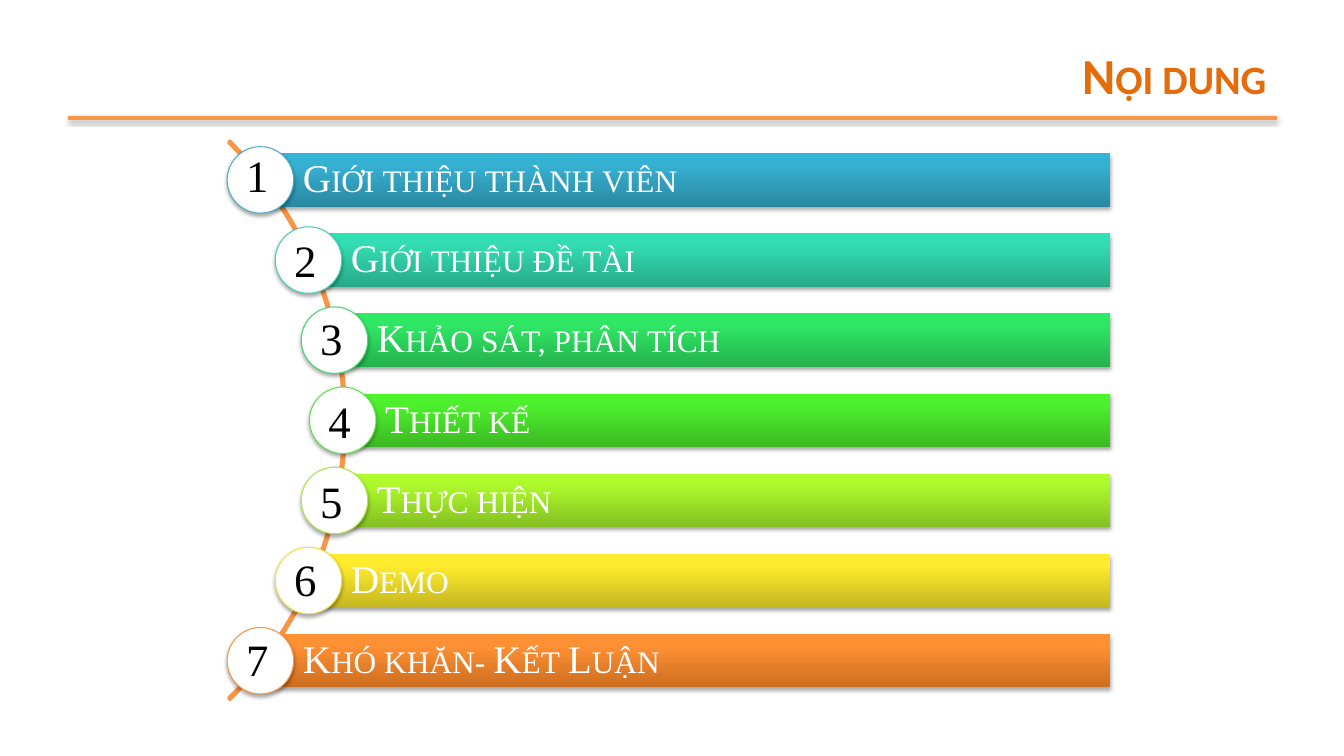
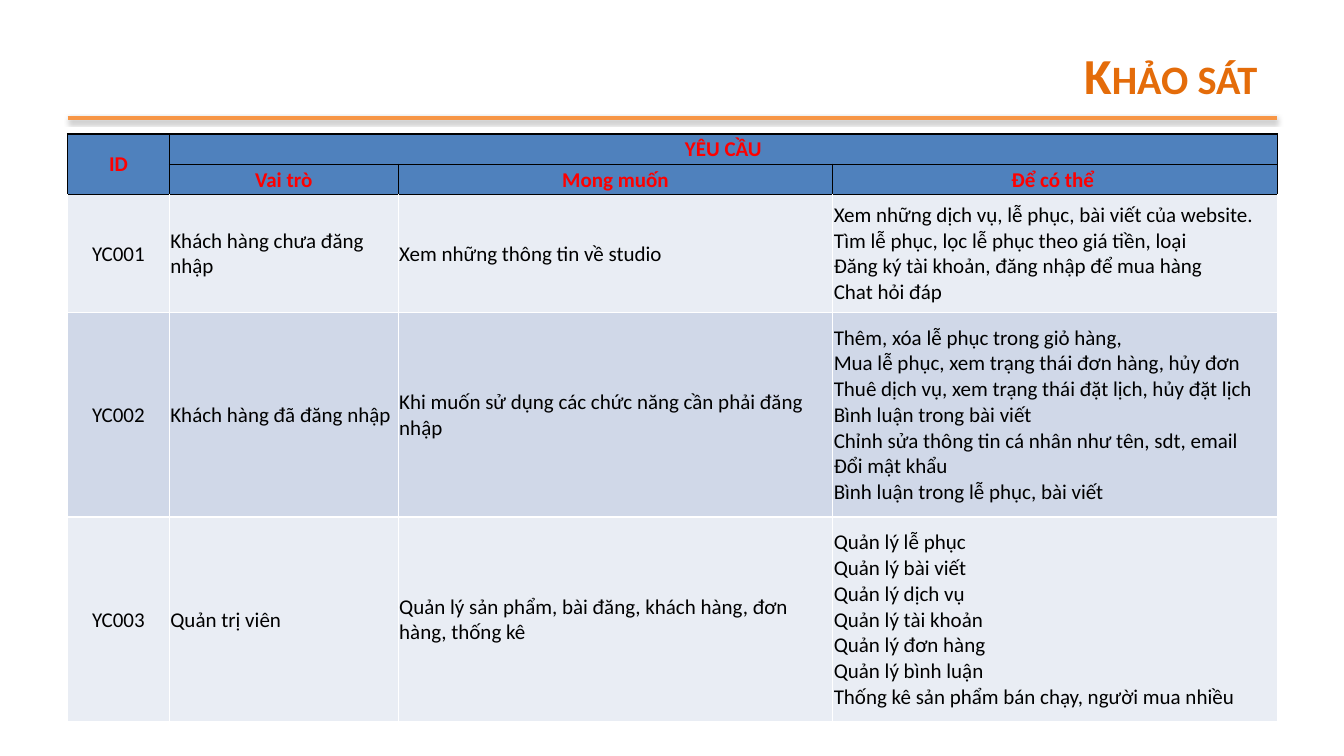
"""Builds an agenda slide and a survey requirements slide."""
from dataclasses import dataclass
from math import sqrt

from lxml.etree import SubElement
from pptx import Presentation
from pptx.dml.color import RGBColor
from pptx.enum.shapes import MSO_CONNECTOR, MSO_SHAPE
from pptx.enum.text import MSO_ANCHOR, PP_ALIGN
from pptx.oxml.ns import qn
from pptx.util import Inches, Pt


@dataclass(frozen=True)
class Theme:
    body_font: str = "Calibri"
    agenda_font: str = "Times New Roman"
    title: str = "E46C0A"
    accent: str = "F79646"
    white: str = "FFFFFF"
    black: str = "000000"
    header_fill: str = "4F81BD"
    header_text: str = "FF0000"
    row_fills: tuple = ("E9EDF4", "D0D8E8")
    title_size: int = 36
    number_size: int = 32
    agenda_size: int = 28
    table_size: int = 15


THEME = Theme()

AGENDA_TITLE = "Nội dung"
# text, gradient from bottom to top, circle outline, top of the number
AGENDA = [
    ("Giới thiệu thành viên", ("2A88A2", "37B1D2", "34B4D6"), "4BACC6", 1.42),
    ("Giới thiệu đề tài", ("27AA89", "33DCB2", "30E1B5"), "49CFAE", 2.26),
    ("Khảo sát, phân tích", ("25B24E", "30E765", "2DEB64"), "47D872", 3.03),
    ("Thiết kế", ("3CB923", "4EF02E", "4CF52A"), "60E146", 3.86),
    ("Thực hiện", ("85C022", "ADF92C", "AFFE28"), "ACE946", 4.65),
    ("Demo", ("C6B821", "FFEC2D", "FFED2E"), "F0E146", 5.42),
    ("Khó khăn- Kết Luận", ("CC6E20", "FF9034", "FF9136"), "F79646", 6.22),
]

SURVEY_TITLE = "Khảo sát "
SURVEY_HEADER = [
    ("ID", "YÊU CẦU", "", ""),
    ("", "Vai trò", "Mong muốn", "Để có thể "),
]
SURVEY_ROWS = [
    ("YC001", "Khách hàng chưa đăng nhập", "Xem những thông tin về studio",
     "Xem những dịch vụ, lễ phục, bài viết của website.\n"
     "Tìm lễ phục, lọc lễ phục theo giá tiền, loại\n"
     "Đăng ký tài khoản, đăng nhập để mua hàng\n"
     "Chat hỏi đáp"),
    ("YC002", "Khách hàng đã đăng nhập",
     "Khi muốn sử dụng các chức năng cần phải đăng nhập",
     "Thêm, xóa lễ phục trong giỏ hàng, \n"
     "Mua lễ phục, xem trạng thái đơn hàng, hủy đơn\n"
     "Thuê dịch vụ, xem trạng thái đặt lịch, hủy đặt lịch\n"
     "Bình luận trong bài viết\n"
     "Chỉnh sửa thông tin cá nhân như tên, sdt, email\n"
     "Đổi mật khẩu\n"
     "Bình luận trong lễ phục, bài viết"),
    ("YC003", "Quản trị viên",
     "Quản lý sản phẩm, bài đăng, khách hàng, đơn hàng, thống kê",
     "Quản lý lễ phục\n"
     "Quản lý bài viết\n"
     "Quản lý dịch vụ\n"
     "Quản lý tài khoản\n"
     "Quản lý đơn hàng\n"
     "Quản lý bình luận\n"
     "Thống kê sản phẩm bán chạy, người mua nhiều"),
]
COLUMN_WIDTHS = (1.01, 2.27, 4.31, 4.41)
ROW_HEIGHTS = (0.3, 0.3, 1.17, 2.03, 2.03)


def rgb(color):
    return RGBColor.from_string(color)


def add_run(paragraph, text, size, color, font, bold=False, small_caps=False):
    run = paragraph.add_run()
    run.text = text
    run.font.size = Pt(size)
    run.font.name = font
    run.font.bold = bold
    run.font.color.rgb = rgb(color)
    if small_caps:
        run.font._element.set("cap", "small")


def add_shadow(part):
    effects = SubElement(part._element.spPr, qn("a:effectLst"))
    outer = SubElement(effects, qn("a:outerShdw"), blurRad=str(Pt(3.1)),
                       dist=str(Pt(1.8)), dir="5400000", rotWithShape="0")
    color = SubElement(outer, qn("a:srgbClr"), val=THEME.black)
    SubElement(color, qn("a:alpha"), val="35000")


def fill_gradient(bar, colors):
    bar.fill.gradient()
    bar.fill.gradient_angle = 90
    stops = bar._element.spPr.find(qn("a:gradFill")).find(qn("a:gsLst"))
    for stop in list(stops):
        stops.remove(stop)
    for position, color in zip((0, 80000, 100000), colors):
        stop = SubElement(stops, qn("a:gs"), pos=str(position))
        SubElement(stop, qn("a:srgbClr"), val=color)


def add_titled_slide(deck, title):
    slide = deck.slides.add_slide(deck.slide_layouts[6])
    rule = slide.shapes.add_connector(
        MSO_CONNECTOR.STRAIGHT, Inches(0.67), Inches(1.17), Inches(12.67), Inches(1.17))
    rule.line.color.rgb = rgb(THEME.accent)
    rule.line.width = Pt(3)
    add_shadow(rule)
    heading = slide.shapes.add_textbox(
        Inches(2.33), Inches(0.17), Inches(10.33), Inches(0.92)).text_frame
    heading.word_wrap = True
    heading.vertical_anchor = MSO_ANCHOR.BOTTOM
    heading.paragraphs[0].alignment = PP_ALIGN.RIGHT
    add_run(heading.paragraphs[0], title, THEME.title_size, THEME.title,
            THEME.body_font, bold=True, small_caps=True)
    return slide


def add_agenda_arc(slide, center_x, center_y, radius):
    arc = slide.shapes.add_shape(
        MSO_SHAPE.BLOCK_ARC, Inches(center_x - radius), Inches(center_y - radius),
        Inches(2 * radius), Inches(2 * radius))
    for index, value in enumerate((189, 27, 0.003)):
        arc.adjustments[index] = value
    arc.shadow.inherit = False
    arc.fill.background()
    arc.line.color.rgb = rgb(THEME.accent)
    arc.line.width = Pt(2)


def add_agenda_item(slide, number, item, left, middle):
    text, gradient, outline, number_top = item
    bar_height, bar_right, diameter = 0.53, 11.01, 0.66
    bar = slide.shapes.add_shape(
        MSO_SHAPE.RECTANGLE, Inches(left), Inches(middle - bar_height / 2),
        Inches(bar_right - left), Inches(bar_height))
    fill_gradient(bar, gradient)
    bar.line.fill.background()
    add_shadow(bar)
    label = bar.text_frame
    label.word_wrap = True
    label.vertical_anchor = MSO_ANCHOR.MIDDLE
    label.margin_left = Inches(0.42)
    label.margin_right = label.margin_top = label.margin_bottom = Inches(0.08)
    label.paragraphs[0].alignment = PP_ALIGN.LEFT
    label.paragraphs[0].line_spacing = 0.9
    add_run(label.paragraphs[0], text, THEME.agenda_size, THEME.white,
            THEME.agenda_font, small_caps=True)

    circle = slide.shapes.add_shape(
        MSO_SHAPE.OVAL, Inches(left - diameter / 2), Inches(middle - diameter / 2),
        Inches(diameter), Inches(diameter))
    circle.fill.solid()
    circle.fill.fore_color.rgb = rgb(THEME.white)
    circle.line.color.rgb = rgb(outline)
    circle.line.width = Pt(0.75)
    add_shadow(circle)

    digit = slide.shapes.add_textbox(
        Inches(left - 0.24), Inches(number_top), Inches(0.5), Inches(0.64)).text_frame
    digit.word_wrap = True
    add_run(digit.paragraphs[0], str(number), THEME.number_size, THEME.black,
            THEME.agenda_font)


def build_agenda(deck):
    slide = add_titled_slide(deck, AGENDA_TITLE)
    center_x, center_y, pitch, bar_radius = -0.49, 4.17, 0.795, 3.89
    add_agenda_arc(slide, center_x, center_y, 3.92)
    for index, item in enumerate(AGENDA):
        offset = (index - len(AGENDA) // 2) * pitch
        left = center_x + sqrt(bar_radius ** 2 - offset ** 2)
        add_agenda_item(slide, index + 1, item, left, center_y + offset)


def set_borders(cell, color, top_color):
    properties = cell._tc.get_or_add_tcPr()
    for side in "LRTB":
        border = SubElement(properties, qn(f"a:ln{side}"), w=str(Pt(1)))
        fill = SubElement(border, qn("a:solidFill"))
        SubElement(fill, qn("a:srgbClr"), val=top_color if side == "T" else color)


def fill_cell(cell, text, fill, color, bold, centered):
    cell.fill.solid()
    cell.fill.fore_color.rgb = rgb(fill)
    cell.vertical_anchor = MSO_ANCHOR.MIDDLE
    cell.margin_left = cell.margin_right = cell.margin_top = Inches(0.01)
    cell.margin_bottom = 0
    if not text:
        return
    paragraph = cell.text_frame.paragraphs[0]
    paragraph.alignment = PP_ALIGN.CENTER if centered else PP_ALIGN.LEFT
    for index, line in enumerate(text.split("\n")):
        if index:
            paragraph.add_line_break()
        add_run(paragraph, line, THEME.table_size, color, THEME.body_font, bold)


def build_survey(deck):
    slide = add_titled_slide(deck, SURVEY_TITLE)
    rows = SURVEY_HEADER + SURVEY_ROWS
    header_count = len(SURVEY_HEADER)
    table = slide.shapes.add_table(
        len(rows), len(COLUMN_WIDTHS), Inches(0.67), Inches(1.33),
        Inches(sum(COLUMN_WIDTHS)), Inches(sum(ROW_HEIGHTS))).table
    table.first_row = table.horz_banding = False
    for column, width in zip(table.columns, COLUMN_WIDTHS):
        column.width = Inches(width)
    for row, height in zip(table.rows, ROW_HEIGHTS):
        row.height = Inches(height)
    table.cell(0, 0).merge(table.cell(1, 0))
    table.cell(0, 1).merge(table.cell(0, 3))
    for row_index, texts in enumerate(rows):
        is_header = row_index < header_count
        fill = THEME.header_fill if is_header else THEME.row_fills[(row_index - header_count) % 2]
        color = THEME.header_text if is_header else THEME.black
        border = THEME.black if is_header else THEME.white
        top_border = THEME.black if row_index <= header_count else THEME.white
        for column_index, text in enumerate(texts):
            cell = table.cell(row_index, column_index)
            set_borders(cell, border, top_border)
            fill_cell(cell, text, fill, color, is_header, is_header or column_index == 0)


def main():
    deck = Presentation()
    deck.slide_width, deck.slide_height = Inches(13.33), Inches(7.5)
    build_agenda(deck)
    build_survey(deck)
    deck.save("out.pptx")


if __name__ == "__main__":
    main()
